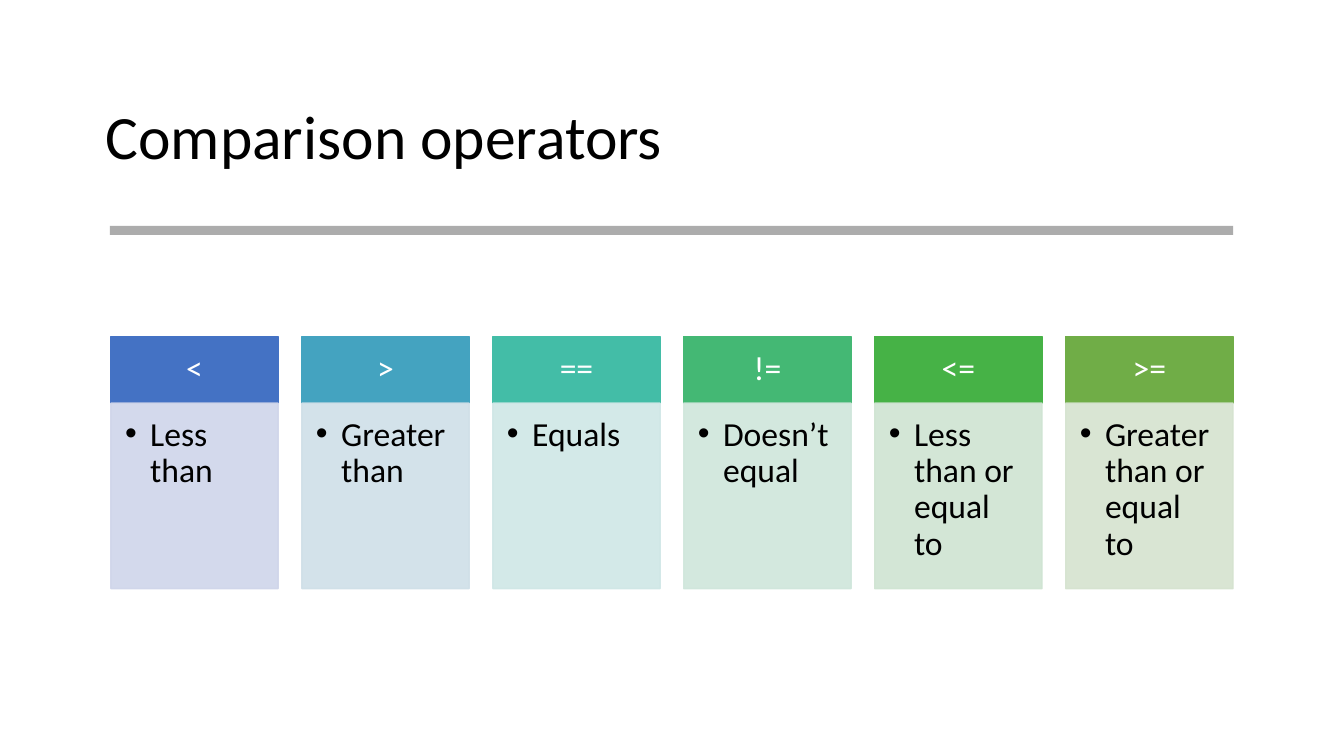
from dataclasses import dataclass

from lxml import etree
from pptx import Presentation
from pptx import util as u
from pptx.dml import color
from pptx.enum import shapes, text
from pptx.oxml import ns

COLORS = {
    "ink": "000000", "paper": "FFFFFF", "rule": "808080",
    "blue": "4472C4", "blue_tint": "CFD5EA",
    "cyan": "44A3C0", "cyan_tint": "CFDFE8",
    "teal": "43BDA7", "teal_tint": "CFE7E6",
    "jade": "44B874", "jade_tint": "CFE6DB",
    "green": "46B246", "green_tint": "CFE4D2",
    "olive": "70AD47", "olive_tint": "D5E3CF",
}
FONT = "Calibri"
FIRST_LEFT, LAST_LEFT, CARD_WIDTH = 1.1, 10.57, 1.66
HEAD_TOP, HEAD_HEIGHT = 3.34, 0.66
BODY_TOP, BODY_HEIGHT = 4.0, 1.84


@dataclass(frozen=True)
class Operator:
    symbol: str
    meaning: str
    hue: str


OPERATORS = [
    Operator("<", "Less than", "blue"),
    Operator(">", "Greater than", "cyan"),
    Operator("==", "Equals", "teal"),
    Operator("!=", "Doesn’t equal", "jade"),
    Operator("<=", "Less than or equal to", "green"),
    Operator(">=", "Greater than or equal to", "olive"),
]


def rgb(name: str) -> color.RGBColor:
    return color.RGBColor.from_string(COLORS[name])


def set_opacity(fill_parent, percent: int) -> None:
    hue = fill_parent.find(ns.qn("a:solidFill"))[0]
    etree.SubElement(hue, ns.qn("a:alpha"), val=str(percent * 1000))


def add_block(page, left: float, top: float, width: float, height: float,
              fill: str, opacity: int = 100, outlined: bool = True):
    box = page.shapes.add_shape(
        shapes.MSO_SHAPE.RECTANGLE,
        u.Inches(left), u.Inches(top), u.Inches(width), u.Inches(height))
    box.shadow.inherit = False
    box.fill.solid()
    box.fill.fore_color.rgb = rgb(fill)
    filled = [box.element.spPr]
    if outlined:
        box.line.color.rgb = rgb(fill)
        box.line.width = u.Pt(1)
        filled.append(box.element.spPr.find(ns.qn("a:ln")))
    else:
        box.line.fill.background()
    if opacity < 100:
        for parent in filled:
            set_opacity(parent, opacity)
    return box


def write(box, words: str, size: int, ink: str, anchor: text.MSO_ANCHOR,
          align: text.PP_ALIGN, insets: tuple[float, float, float, float],
          bullet: bool = False) -> None:
    frame = box.text_frame
    frame.word_wrap = True
    frame.vertical_anchor = anchor
    (frame.margin_left, frame.margin_top,
     frame.margin_right, frame.margin_bottom) = map(u.Inches, insets)
    para = frame.paragraphs[0]
    para.alignment = align
    para.line_spacing = 0.9
    if bullet:
        props = para._p.get_or_add_pPr()
        props.set("marL", str(u.Inches(0.25)))
        props.set("indent", str(-u.Inches(0.25)))
        etree.SubElement(props, ns.qn("a:buFont"), typeface="Arial")
        etree.SubElement(props, ns.qn("a:buChar"), char="•")
    span = para.add_run()
    span.text = words
    span.font.name = FONT
    span.font.size = u.Pt(size)
    span.font.color.rgb = rgb(ink)


def add_operator(page, left: float, operator: Operator) -> None:
    head = add_block(page, left, HEAD_TOP, CARD_WIDTH, HEAD_HEIGHT, operator.hue)
    write(head, operator.symbol, 24, "paper", text.MSO_ANCHOR.MIDDLE,
          text.PP_ALIGN.CENTER, (0.19, 0.11, 0.19, 0.11))
    body = add_block(page, left, BODY_TOP, CARD_WIDTH, BODY_HEIGHT,
                     operator.hue + "_tint", opacity=90)
    write(body, operator.meaning, 24, "ink", text.MSO_ANCHOR.TOP,
          text.PP_ALIGN.LEFT, (0.14, 0.14, 0.19, 0.21), bullet=True)


def main() -> None:
    deck = Presentation()
    deck.slide_width, deck.slide_height = u.Inches(13.33), u.Inches(7.5)
    page = deck.slides.add_slide(deck.slide_layouts[6])

    title = page.shapes.add_textbox(
        u.Inches(0.95), u.Inches(0.66), u.Inches(11.43), u.Inches(1.45))
    write(title, "Comparison operators", 44, "ink", text.MSO_ANCHOR.MIDDLE,
          text.PP_ALIGN.LEFT, (0.1, 0.05, 0.1, 0.05))
    add_block(page, 1.09, 2.24, 11.14, 0.09, "rule", opacity=65, outlined=False)

    pitch = (LAST_LEFT - FIRST_LEFT) / (len(OPERATORS) - 1)
    for column, operator in enumerate(OPERATORS):
        add_operator(page, FIRST_LEFT + column * pitch, operator)

    deck.save("out.pptx")


if __name__ == "__main__":
    main()
